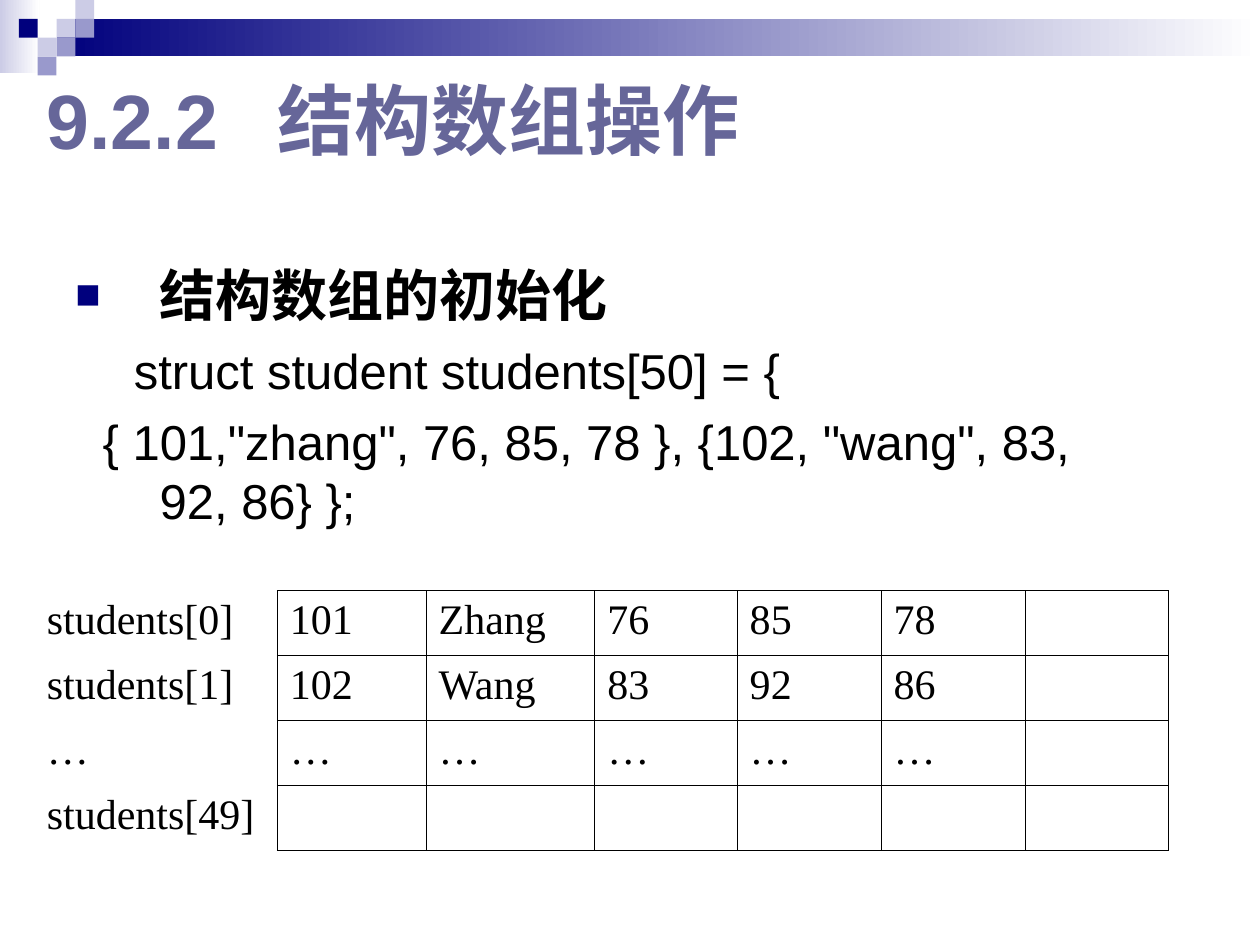
import pptx
import pptx.dml.color
import pptx.enum.shapes
import pptx.enum.text
import pptx.oxml
import pptx.oxml.ns
import pptx.util

Cm, Pt = pptx.util.Cm, pptx.util.Pt
NS = pptx.oxml.ns.nsdecls("a")
NAVY, LAVENDER, PERIWINKLE = "00007D", "CCCCE6", "9999CC"


def color(hex_value):
    return pptx.dml.color.RGBColor.from_string(hex_value)


def add_run(paragraph, text, size, hex_value, bold=False, font="Arial"):
    run = paragraph.add_run()
    run.text = text
    run.font.size = Pt(size)
    run.font.name = font
    run.font.bold = bold
    run.font.color.rgb = color(hex_value)


prs = pptx.Presentation()
prs.slide_width, prs.slide_height = Cm(25.4), Cm(19.05)
slide = prs.slides.add_slide(prs.slide_layouts[5])

# Header: two gradient bands, then squares on a regular grid
STEP = 0.38
decorations = [
    (0, 0, 0.8, 1.47, (LAVENDER, "FFFFFF")),
    (1.14, 0.38, 24.26, 0.76, (NAVY, "FFFFFF")),
]
squares = [
    (3, 1, LAVENDER), (4, 0, LAVENDER), (4, 1, PERIWINKLE), (2, 2, LAVENDER),
    (1, 1, NAVY), (3, 2, PERIWINKLE), (2, 3, PERIWINKLE),
]
for column, row, shade in squares:
    decorations.append((column * STEP, row * STEP, STEP, STEP, (shade,)))
for left, top, width, height, shades in decorations:
    block = slide.shapes.add_shape(
        pptx.enum.shapes.MSO_SHAPE.RECTANGLE, Cm(left), Cm(top), Cm(width), Cm(height))
    block.shadow.inherit = False
    block.line.fill.background()
    if len(shades) == 1:
        block.fill.solid()
        block.fill.fore_color.rgb = color(shades[0])
    else:
        block.fill.gradient()
        block.fill.gradient_angle = 0
        for stop, shade, position in zip(block.fill.gradient_stops, shades, (0, 1)):
            stop.color.rgb = color(shade)
            stop.position = position

# Title, in front of the header; a tab stop separates number and heading
title = slide.shapes.title
slide.shapes.element.append(title.element)
title.left, title.top, title.width, title.height = Cm(0.69), Cm(1.07), Cm(22.86), Cm(2.64)
title.text_frame.auto_size = pptx.enum.text.MSO_AUTO_SIZE.NONE
title.text_frame.vertical_anchor = pptx.enum.text.MSO_ANCHOR.MIDDLE
heading = title.text_frame.paragraphs[0]
heading.alignment = pptx.enum.text.PP_ALIGN.LEFT
add_run(heading, "9.2.2\t结构数组操作", 44, "666699", bold=True)
heading_properties = title.element.txBody.p_lst[0].get_or_add_pPr()
heading_properties.append(pptx.oxml.parse_xml(
    f'<a:tabLst {NS}><a:tab pos="{Cm(4.65)}" algn="l"/></a:tabLst>'))

# Initialisation code: text, size, bold, space before, first-line indent
code_lines = [
    ("结构数组的初始化", 32, True, 8, -1.7),
    ("struct student students[50] = {", 28, False, 7, -0.52),
    ('{ 101,"zhang", 76, 85, 78 }, {102, "wang", 83, 92, 86} };', 28, False, 7, -1.15),
]
code = slide.shapes.add_textbox(Cm(1.27), Cm(5.13), Cm(22.02), Cm(6.5))
code.text_frame.word_wrap = True
for index, (text, size, bold, space, indent) in enumerate(code_lines):
    line = code.text_frame.paragraphs[0] if index == 0 else code.text_frame.add_paragraph()
    line.space_before = Pt(space)
    add_run(line, text, size, "000000", bold)
    properties = code.element.txBody.p_lst[index].get_or_add_pPr()
    properties.set("marL", str(Cm(1.7)))
    properties.set("indent", str(Cm(indent)))
    if index == 0:
        for bullet in (f'<a:buClr {NS}><a:srgbClr val="{NAVY}"/></a:buClr>',
                       f'<a:buSzPct {NS} val="75000"/>',
                       f'<a:buFont {NS} typeface="Arial"/>',
                       f'<a:buChar {NS} char="■"/>'):
            properties.append(pptx.oxml.parse_xml(bullet))

# Array table: the label column has no frame of its own
records = [
    ("students[0]", "101", "Zhang", "76", "85", "78", ""),
    ("students[1]", "102", "Wang", "83", "92", "86", ""),
    ("…", "…", "…", "…", "…", "…", ""),
    ("students[49]", "", "", "", "", "", ""),
]
column_widths = [4.9, 3.0, 3.4, 2.87, 2.9, 2.9, 2.9]
array = slide.shapes.add_table(
    len(records), len(column_widths), Cm(0.69), Cm(11.91), Cm(22.87), Cm(5.24)).table
array.first_row = False
array.horz_banding = False
for column, width in zip(array.columns, column_widths):
    column.width = Cm(width)
for row_index, record in enumerate(records):
    array.rows[row_index].height = Cm(1.31)
    for column_index, value in enumerate(record):
        cell = array.cell(row_index, column_index)
        cell.fill.background()
        if value:
            add_run(cell.text_frame.paragraphs[0], value, 24, "000000",
                    font="Times New Roman")
        cell_properties = cell._tc.get_or_add_tcPr()
        for position, side in enumerate(("lnL", "lnR", "lnT", "lnB")):
            if column_index > 0 or side == "lnR":
                stroke = '<a:solidFill><a:srgbClr val="000000"/></a:solidFill>'
            else:
                stroke = "<a:noFill/>"
            cell_properties.insert(position, pptx.oxml.parse_xml(
                f'<a:{side} {NS} w="{Pt(0.45)}">{stroke}</a:{side}>'))

prs.save("out.pptx")
